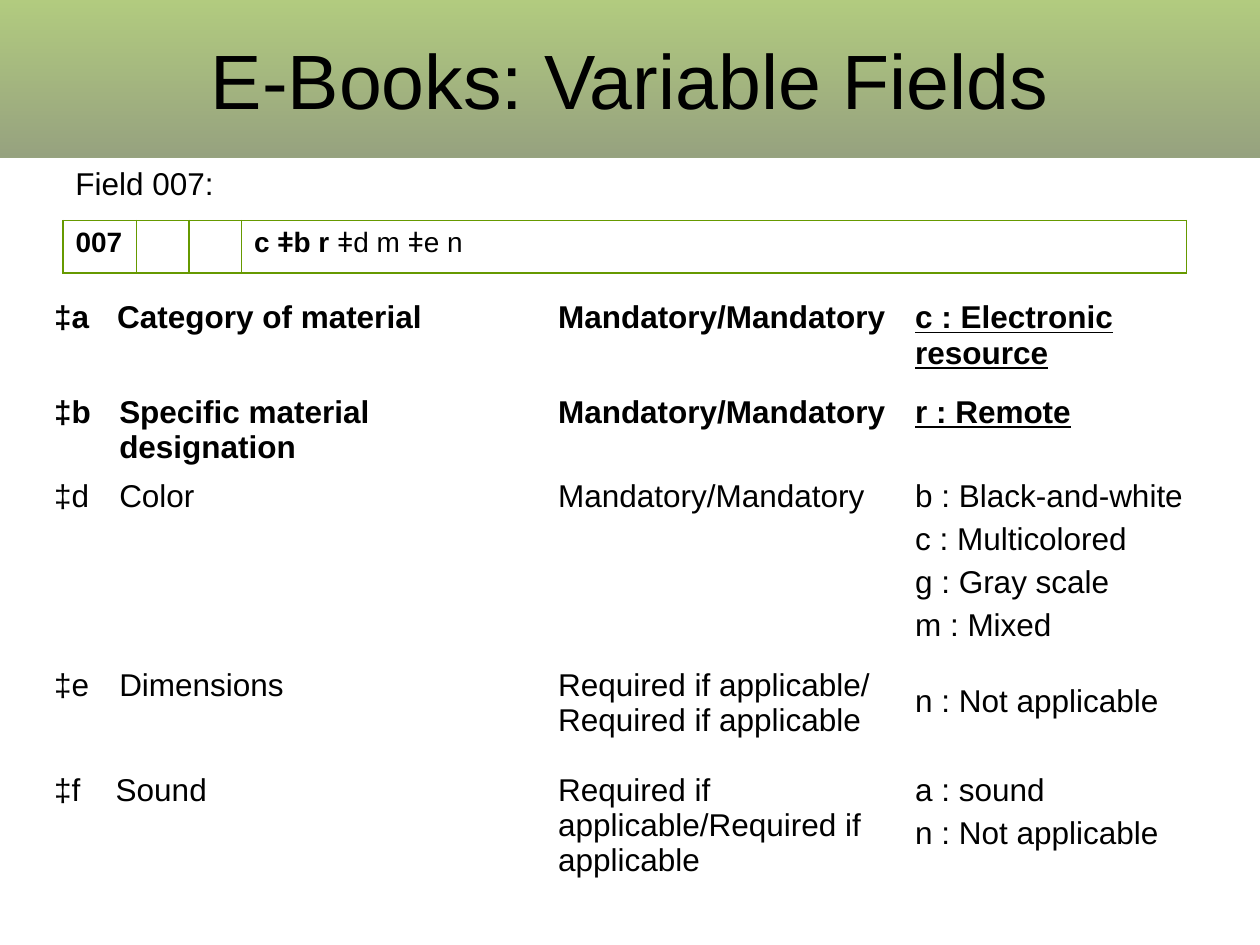
from lxml import etree
from pptx import Presentation
from pptx.util import Pt
from pptx.dml.color import RGBColor
from pptx.enum import shapes, text
from pptx.oxml import ns

COLORS = {"text": "000000", "border": "669900", "top": "669900", "bottom": "2F4600"}
FONT = "Arial"
NO_STYLE = "{2D5ABB26-0587-4C30-8999-92F81FD0307C}"

# Content
TITLE = "E-Books: Variable Fields"
CAPTION = "Field 007:"
FIELD = ["007", "", "", [("c ǂb r ", True), ("ǂd m ǂe n", False)]]
FIELD_WIDTHS = [42, 30, 30, 540]

# Subfields: top, height, code width, bold, top inset of values, cells
SUBFIELDS = [
    (168, 54, 36, True, 3.6,
     ["‡a", "Category of material", "Mandatory/Mandatory", ["c : Electronic resource"]]),
    (222, 50.4, 37.2, True, 3.6,
     ["‡b", "Specific material designation", "Mandatory/Mandatory", ["r : Remote"]]),
    (270, 112.3, 37.2, False, 3.6,
     ["‡d", "Color", "Mandatory/Mandatory",
      ["b : Black-and-white", "c : Multicolored", "g : Gray scale", "m : Mixed"]]),
    (378, 61.2, 37.2, False, 12.6,
     ["‡e", "Dimensions", "Required if applicable/ Required if applicable",
      ["n : Not applicable"]]),
    (438, 72, 35.2, False, 3.6,
     ["‡f", "Sound", "Required if applicable/Required if applicable",
      ["a : sound", "n : Not applicable"]]),
]
LEFT, NAME_END, LEVEL_W, VALUE_W = 23.75, 288, 204, 174


def rgb(name):
    return RGBColor.from_string(COLORS[name])


def write(tf, lines, size=18, bold=False, underline=False, align=None, gap=4.5):
    """Each line is a string or a list of (text, bold) runs."""
    tf.word_wrap = True
    for i, line in enumerate([lines] if isinstance(lines, str) else lines):
        p = tf.paragraphs[0] if i == 0 else tf.add_paragraph()
        p.alignment = align
        p.font.size = Pt(size)
        if i:
            p.space_before = Pt(gap)
        for content, heavy in [(line, bold)] if isinstance(line, str) else line:
            if not content:
                continue
            r = p.add_run()
            r.text = content
            r.font.size, r.font.name = Pt(size), FONT
            r.font.bold, r.font.underline = heavy, underline
            r.font.color.rgb = rgb("text")


def add_row_table(slide, left, top, widths, height):
    table = slide.shapes.add_table(1, len(widths), Pt(left), Pt(top),
                                   Pt(sum(widths)), Pt(height)).table
    table.first_row = table.horz_banding = False
    table._tbl.tblPr.find(ns.qn("a:tableStyleId")).text = NO_STYLE
    table.rows[0].height = Pt(height)
    for column, width in zip(table.columns, widths):
        column.width = Pt(width)
    for cell in table.iter_cells():
        cell.fill.background()
    return table


def add_borders(cell):
    tcPr = cell._tc.get_or_add_tcPr()
    for i, side in enumerate(("lnL", "lnR", "lnT", "lnB")):
        ln = etree.Element(ns.qn("a:" + side), w=str(Pt(0.75)))
        fill = etree.SubElement(ln, ns.qn("a:solidFill"))
        etree.SubElement(fill, ns.qn("a:srgbClr"), val=COLORS["border"])
        tcPr.insert(i, ln)


prs = Presentation()
prs.slide_width, prs.slide_height = Pt(720), Pt(540)
slide = prs.slides.add_slide(prs.slide_layouts[6])

# Title band, half transparent
sp = slide.shapes.add_shape(shapes.MSO_SHAPE.RECTANGLE, 0, 0, Pt(720), Pt(90))
sp.shadow.inherit = False
sp.line.fill.background()
sp.fill.gradient()
sp.fill.gradient_angle = 270
for stop, position, name in zip(sp.fill.gradient_stops, (0, 1), ("top", "bottom")):
    stop.position, stop.color.rgb = position, rgb(name)
for color in sp._element.spPr.iter(ns.qn("a:srgbClr")):
    etree.SubElement(color, ns.qn("a:alpha"), val="50000")
sp.text_frame.vertical_anchor = text.MSO_ANCHOR.MIDDLE
write(sp.text_frame, TITLE, size=44, align=text.PP_ALIGN.CENTER)

# Caption
sp = slide.shapes.add_textbox(Pt(36), Pt(90), Pt(438), Pt(29))
write(sp.text_frame, CAPTION)

# Sample field with borders
table = add_row_table(slide, 36, 126, FIELD_WIDTHS, 30)
for cell, content in zip(table.iter_cells(), FIELD):
    add_borders(cell)
    write(cell.text_frame, [content], size=16, bold=True)

# Subfield tables
for top, height, code_w, bold, inset, cells in SUBFIELDS:
    widths = [code_w, NAME_END - code_w, LEVEL_W, VALUE_W]
    table = add_row_table(slide, LEFT, top, widths, height)
    for i, content in enumerate(cells):
        is_value = i == len(cells) - 1
        cell = table.cell(0, i)
        cell.margin_top = Pt(inset if is_value else 3.6)
        write(cell.text_frame, content, bold=bold, underline=bold and is_value)

prs.save("out.pptx")
